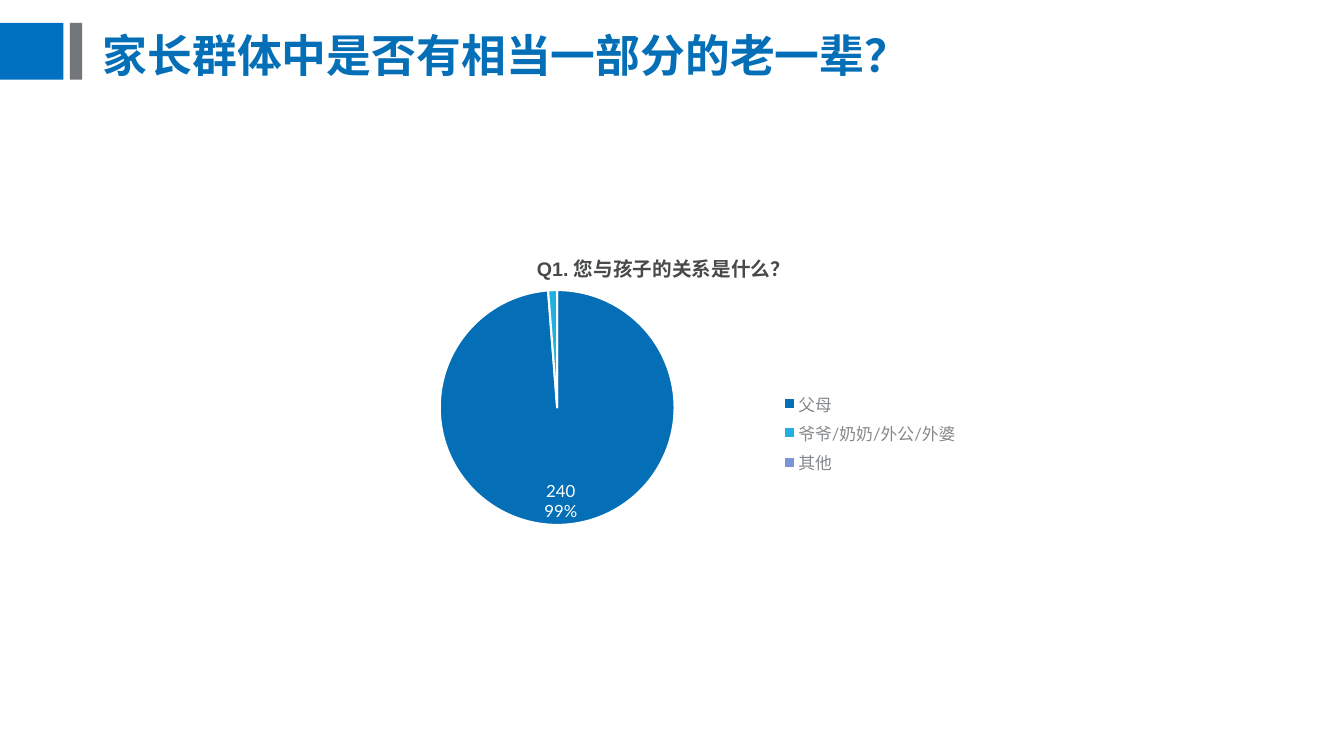
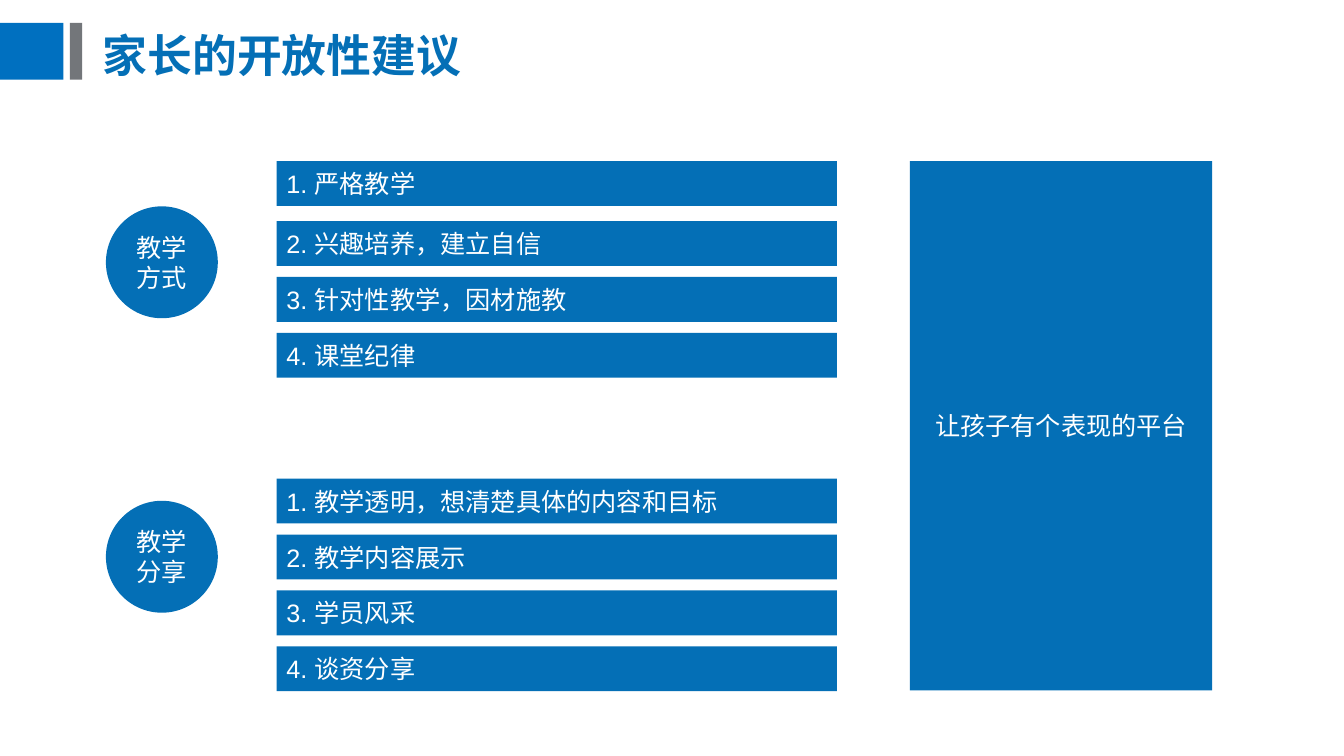
"""Build two survey slides: a pie of answers and a board of advice."""
from dataclasses import dataclass

from lxml.etree import SubElement
from pptx import Presentation
from pptx.chart.chart import Chart
from pptx.chart.data import CategoryChartData
from pptx.dml.color import RGBColor
from pptx.enum.chart import XL_CHART_TYPE, XL_LABEL_POSITION, XL_LEGEND_POSITION
from pptx.enum.shapes import MSO_SHAPE
from pptx.enum.text import MSO_ANCHOR, MSO_AUTO_SIZE, PP_ALIGN
from pptx.oxml.ns import qn
from pptx.slide import Slide
from pptx.text.text import Font, TextFrame
from pptx.util import Cm, Pt

HUES = {
    "band": "0070C0",
    "gray": "73767A",
    "blue": "046FB6",
    "cyan": "22B1DE",
    "lilac": "7B93D7",
    "dark": "47494B",
    "pale": "85898C",
    "white": "FFFFFF",
}
PITCH = 1.41
ROW_TALL = 1.13


@dataclass(frozen=True)
class Box:
    left: float
    top: float
    width: float
    height: float

    def span(self) -> tuple[Cm, Cm, Cm, Cm]:
        return Cm(self.left), Cm(self.top), Cm(self.width), Cm(self.height)


@dataclass(frozen=True)
class Style:
    size: float
    face: str
    hue: str
    bold: bool = False
    align: PP_ALIGN = PP_ALIGN.LEFT
    lead: float = 1.0


@dataclass(frozen=True)
class Group:
    label: tuple[str, ...]
    disc: float
    top: float
    lift: float
    rows: tuple[str, ...]


TITLE = Style(32, "Arial", "blue", True, lead=0.9)
QUERY = Style(14, "Arial", "dark", True, lead=1.3)
ITEM = Style(18, "Arial", "white")
LABEL = Style(18, "Lato", "white", align=PP_ALIGN.CENTER)
KEY = Style(12, "Lato", "pale")
VALUE = Style(12, "Lato", "white")

BANDS = ((Box(0, 0.58, 1.6, 1.43), "band"), (Box(1.76, 0.58, 0.31, 1.43), "gray"))
SHARES = (("父母", 240, "blue"), ("爷爷/奶奶/外公/外婆", 3, "cyan"), ("其他", 0, "lilac"))
GROUPS = (
    Group(("教学方式",), 5.2, 4.16, 0.1,
          ("严格教学", "兴趣培养，建立自信", "针对性教学，因材施教", "课堂纪律")),
    Group(("教学", "分享"), 12.62, 12.06, 0,
          ("教学透明，想清楚具体的内容和目标", "教学内容展示", "学员风采", "谈资分享")),
)


def color(name: str) -> RGBColor:
    return RGBColor.from_string(HUES[name])


def dress(font: Font, style: Style) -> None:
    font.size = Pt(style.size)
    font.name = style.face
    font.bold = style.bold
    font.color.rgb = color(style.hue)


def write(frame: TextFrame, lines: tuple[str, ...], style: Style) -> None:
    for i, line in enumerate(lines):
        para = frame.add_paragraph() if i else frame.paragraphs[0]
        para.alignment = style.align
        para.line_spacing = style.lead
        run = para.add_run()
        run.text = line
        dress(run.font, style)


def block(slide: Slide, box: Box, hue: str, lines: tuple[str, ...] = (),
          style: Style = LABEL, kind: MSO_SHAPE = MSO_SHAPE.RECTANGLE) -> None:
    shape = slide.shapes.add_shape(kind, *box.span())
    shape.shadow.inherit = False
    shape.fill.solid()
    shape.fill.fore_color.rgb = color(hue)
    shape.line.fill.background()
    shape.text_frame.vertical_anchor = MSO_ANCHOR.MIDDLE
    write(shape.text_frame, lines, style)


def label(slide: Slide, box: Box, text: str, style: Style, wrap: bool) -> TextFrame:
    frame = slide.shapes.add_textbox(*box.span()).text_frame
    frame.word_wrap = wrap
    write(frame, (text,), style)
    return frame


def start(deck: Presentation, title: str) -> Slide:
    slide = deck.slides.add_slide(deck.slide_layouts[6])
    for box, hue in BANDS:
        block(slide, box, hue)
    frame = label(slide, Box(2.34, 0.36, 28.83, 2.21), title, TITLE, True)
    frame.vertical_anchor = MSO_ANCHOR.MIDDLE
    return slide


def place(chart: Chart, box: Box) -> None:
    plot = chart.element.find(".//" + qn("c:plotArea"))
    for old in plot.findall(qn("c:layout")):
        plot.remove(old)
    layout = SubElement(plot, qn("c:layout"))
    plot.insert(0, layout)
    manual = SubElement(layout, qn("c:manualLayout"))
    parts = {"layoutTarget": "inner", "xMode": "edge", "yMode": "edge",
             "x": box.left, "y": box.top, "w": box.width, "h": box.height}
    for tag, value in parts.items():
        SubElement(manual, qn(f"c:{tag}")).set("val", str(value))


def pie(slide: Slide, box: Box) -> None:
    data = CategoryChartData()
    data.categories = [name for name, _, _ in SHARES]
    data.add_series("Series 1", [count for _, count, _ in SHARES])
    chart = slide.shapes.add_chart(XL_CHART_TYPE.PIE, *box.span(), data).chart
    chart.has_title = False
    dress(chart.font, Style(10, "Lato", "dark"))
    chart.has_legend = True
    chart.legend.position = XL_LEGEND_POSITION.RIGHT
    chart.legend.include_in_layout = False
    dress(chart.legend.font, KEY)
    chart.plots[0].vary_by_categories = False
    series = chart.plots[0].series[0]
    for i, (_, _, hue) in enumerate(SHARES):
        form = series.points[i].format
        form.fill.solid()
        form.fill.fore_color.rgb = color(hue)
        form.line.color.rgb = color("white")
        form.line.width = Pt(1.5)
    series.data_labels.show_value = False
    tag = series.points[0].data_label
    dress(tag.font, VALUE)
    tag.position = XL_LABEL_POSITION.BEST_FIT
    node = chart.element.find(".//" + qn("c:dLbl"))
    node.find(qn("c:showPercent")).set("val", "1")
    SubElement(node, qn("c:separator")).text = "\n"
    place(chart, Box(0.13, 0.05, 0.39, 0.74))


def advise(slide: Slide, group: Group) -> None:
    block(slide, Box(2.67, group.disc, 2.82, 2.82), "blue", group.label,
          kind=MSO_SHAPE.OVAL)
    for i, text in enumerate(group.rows):
        top = group.top + i * PITCH - (0 if i else group.lift)
        block(slide, Box(6.97, top, 14.12, ROW_TALL), "blue",
              (f"{i + 1}. {text}",), ITEM)


def main() -> None:
    deck = Presentation()
    deck.slide_width, deck.slide_height = Cm(33.87), Cm(19.05)

    slide = start(deck, "家长群体中是否有相当一部分的老一辈？")
    frame = label(slide, Box(13.28, 6.17, 6.93, 0.97),
                  "Q1. 您与孩子的关系是什么？", QUERY, False)
    frame.auto_size = MSO_AUTO_SIZE.SHAPE_TO_FIT_TEXT
    pie(slide, Box(9.04, 6.91, 15.39, 8))

    slide = start(deck, "家长的开放性建议")
    for group in GROUPS:
        advise(slide, group)
    block(slide, Box(22.93, 4.06, 7.62, 13.34), "blue", ("让孩子有个表现的平台",))

    deck.save("out.pptx")


if __name__ == "__main__":
    main()
